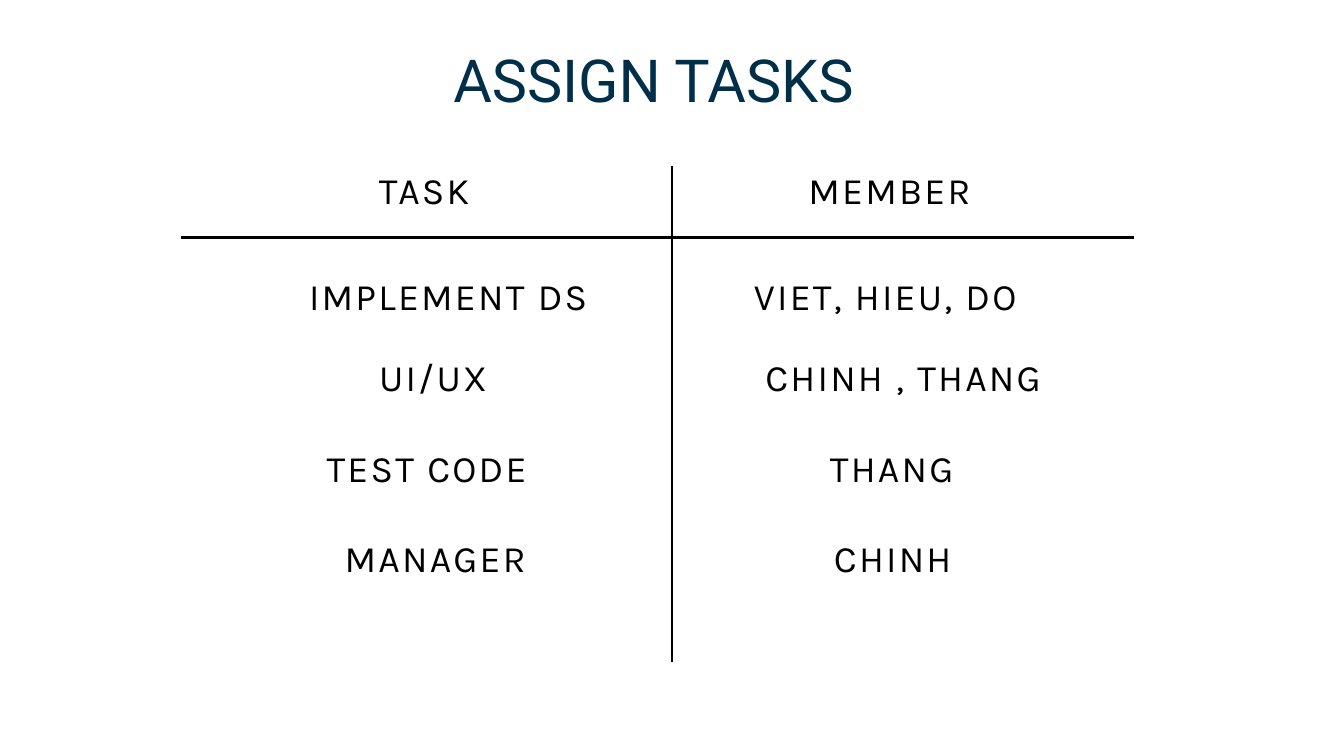
from pptx import Presentation
from pptx.dml.color import RGBColor
from pptx.enum.shapes import MSO_CONNECTOR
from pptx.enum.text import MSO_ANCHOR, MSO_AUTO_SIZE, PP_ALIGN
from pptx.oxml.ns import qn
from pptx.util import Pt
from lxml.etree import SubElement

PX = 9144  # 100 px to the inch
NAVY = RGBColor(0x00, 0x30, 0x49)
BLACK = RGBColor(0, 0, 0)

# Content: each row has a top, then (text, left, width) for task and member
TITLE = "ASSIGN TASKS"
ROWS = [
    (238, ("TASK", 564, 164), ("MEMBER", 1203, 256)),
    (396, ("IMPLEMENT DS", 460, 417), ("VIET, HIEU, DO", 1122, 417)),
    (516, ("UI/UX", 564, 172), ("CHINH , THANG", 1139, 417)),
    (651, ("TEST CODE", 486, 319), ("THANG", 1235, 193)),
    (785, ("MANAGER", 513, 273), ("CHINH", 1241, 180)),
]
RULES = [(270, 353, 1687, 353), (1000, 247, 1000, 985)]
CELL_H = 75

HEAD = {"name": "Roboto", "size": Pt(63.5), "bold": False}
BODY = {"name": "Karla", "size": Pt(40), "bold": False}
FRAME = {"margin_left": 0, "margin_right": 0, "margin_top": 0,
         "margin_bottom": 0, "vertical_anchor": MSO_ANCHOR.TOP,
         "auto_size": MSO_AUTO_SIZE.NONE}


def emu(*vals):
    return [v * PX for v in vals]


def put(obj, vals):
    for key, val in vals.items():
        setattr(obj, key, val)


def write(shape, text, font, color, lead, align, wrap):
    frame = shape.text_frame
    put(frame, FRAME)
    frame.word_wrap = wrap
    para = frame.paragraphs[0]
    put(para, {"alignment": align, "line_spacing": Pt(lead)})
    run = para.add_run()
    run.text = text
    put(run.font, font)
    run.font.color.rgb = color
    return run


prs = Presentation()
prs.slide_width, prs.slide_height = emu(2000, 1125)
slide = prs.slides.add_slide(prs.slide_layouts[5])
shapes = slide.shapes

# Title
title = shapes.title
box = emu(545, 47, 855, 118)
put(title, dict(zip(("left", "top", "width", "height"), box)))
write(title, TITLE, HEAD, NAVY, 89, PP_ALIGN.CENTER, True)

# Tasks and members
for top, *cells in ROWS:
    for text, left, width in cells:
        cell = shapes.add_textbox(*emu(left, top, width, CELL_H))
        run = write(cell, text, BODY, BLACK, 56, PP_ALIGN.LEFT, False)
        run.font._element.set("spc", "240")

# Crossing rules
for ends in RULES:
    rule = shapes.add_connector(MSO_CONNECTOR.STRAIGHT, *emu(*ends))
    rule.line.color.rgb = BLACK
    rule.line.width = Pt(3)
    SubElement(rule._element.spPr, qn("a:effectLst"))

prs.save("out.pptx")
